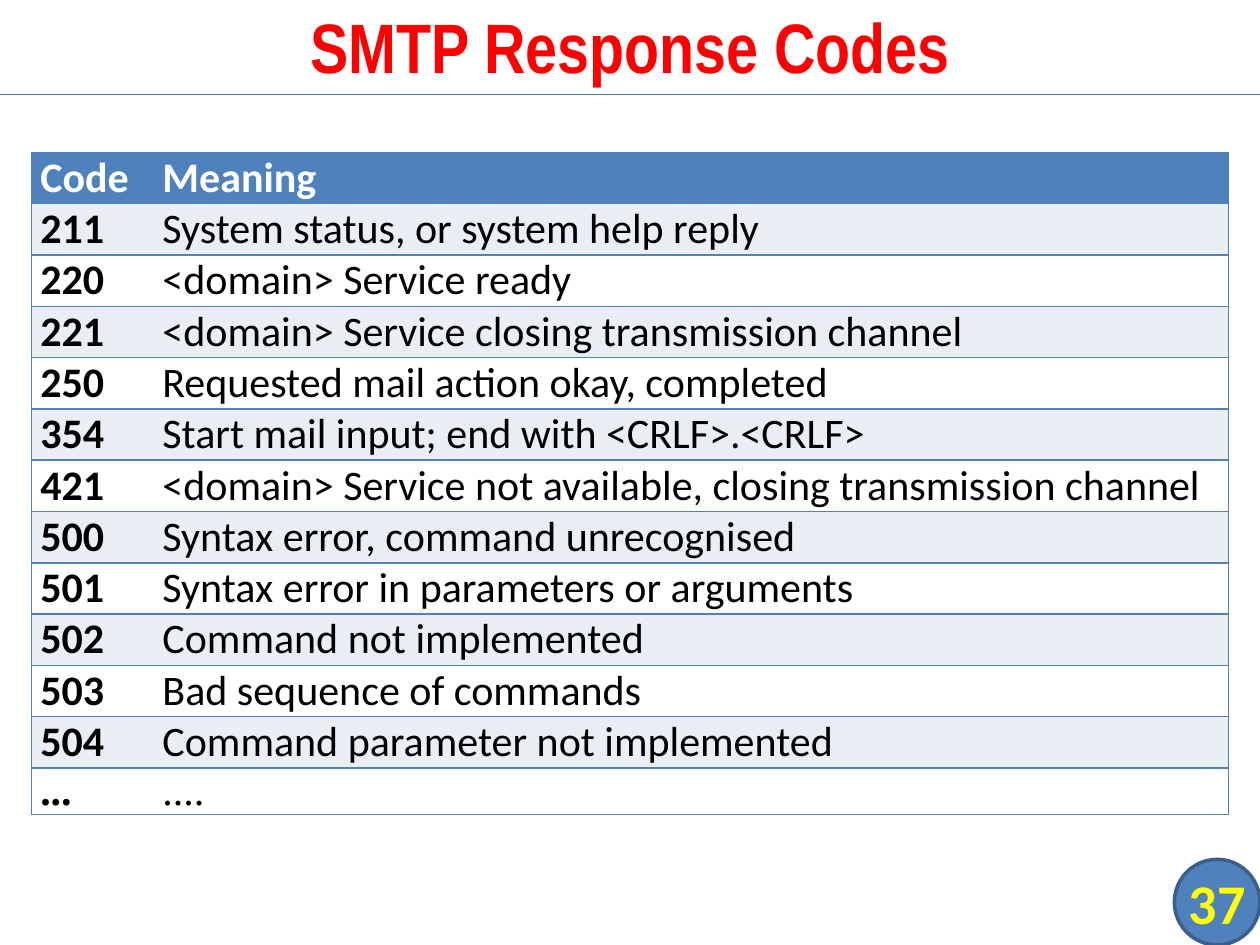
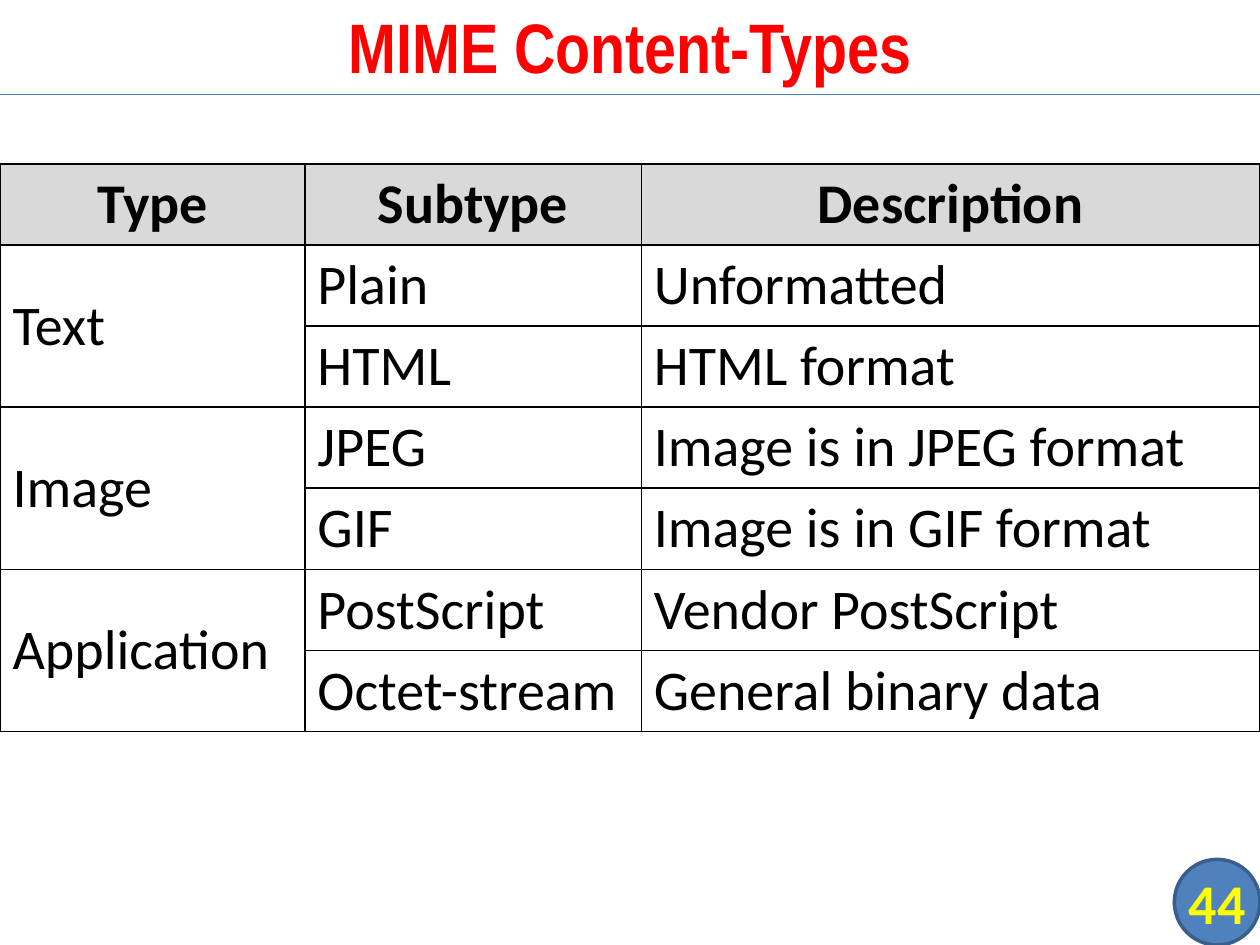
"""Build two reference slides: SMTP response codes and MIME content types."""
from dataclasses import dataclass
from typing import Any, Optional

from lxml import etree
from pptx import Presentation
from pptx.dml.color import RGBColor
from pptx.enum import shapes, text
from pptx.oxml import ns
from pptx.util import Inches, Pt


@dataclass(frozen=True)
class Theme:
    """Colours, fonts and type sizes of the deck."""
    blue: str = "4F81BD"
    badge_line: str = "3A5F8C"
    rule: str = "4B7EBC"
    band: str = "E9EDF4"
    grey: str = "D9D9D9"
    white: str = "FFFFFF"
    black: str = "000000"
    red: str = "FF0000"
    yellow: str = "FFFF00"
    title_font: str = "Arial Narrow"
    body_font: str = "Calibri"
    dots_font: str = "Times New Roman"
    title_size: int = 40
    large_size: int = 32
    code_size: int = 24


@dataclass(frozen=True)
class TableStyle:
    """Look of one table."""
    size: int
    header_fill: str
    header_color: str
    bands: tuple[Optional[str], ...]
    border: str
    column_rules: bool
    bold_first: bool
    header_align: Any
    body_anchor: Any
    margins: tuple[float, float]
    spacing: int


@dataclass(frozen=True)
class TableSpec:
    """Place and content of one table; None continues the cell above."""
    left: float
    top: float
    widths: tuple[float, ...]
    row_height: float
    rows: tuple[tuple[Optional[str], ...], ...]
    style: TableStyle


@dataclass(frozen=True)
class SlideSpec:
    """Title, number and table of one slide."""
    title: str
    number: int
    table: TableSpec


THEME = Theme()

CODE_STYLE = TableStyle(
    THEME.code_size, THEME.blue, THEME.white, (THEME.band, THEME.white), THEME.blue,
    False, True, text.PP_ALIGN.LEFT, text.MSO_ANCHOR.TOP, (0.07, 0), 3)
TYPE_STYLE = TableStyle(
    THEME.large_size, THEME.grey, THEME.black, (None,), THEME.black,
    True, False, text.PP_ALIGN.CENTER, text.MSO_ANCHOR.MIDDLE, (0.1, 0.05), 0)

SLIDES = (
    SlideSpec("SMTP Response Codes", 37, TableSpec(0.25, 1.21, (0.97, 8.53), 0.36, (
        ("Code", "Meaning"),
        ("211", "System status, or system help reply"),
        ("220", "<domain> Service ready"),
        ("221", "<domain> Service closing transmission channel"),
        ("250", "Requested mail action okay, completed"),
        ("354", "Start mail input; end with <CRLF>.<CRLF>"),
        ("421", "<domain> Service not available, closing transmission channel"),
        ("500", "Syntax error, command unrecognised"),
        ("501", "Syntax error in parameters or arguments"),
        ("502", "Command not implemented"),
        ("503", "Bad sequence of commands"),
        ("504", "Command parameter not implemented"),
        ("...", "....")), CODE_STYLE)),
    SlideSpec("MIME Content-Types", 44, TableSpec(0, 1.3, (2.42, 2.67, 4.91), 0.64, (
        ("Type", "Subtype", "Description"),
        ("Text", "Plain", "Unformatted"),
        (None, "HTML", "HTML format"),
        ("Image", "JPEG", "Image is in JPEG format"),
        (None, "GIF", "Image is in GIF format"),
        ("Application", "PostScript", "Vendor PostScript"),
        (None, "Octet-stream", "General binary data")), TYPE_STYLE)),
)


def apply(obj: Any, values: dict[str, Any]) -> None:
    """Set each named attribute on an object."""
    for name, value in values.items():
        setattr(obj, name, value)


def write(tf: Any, words: str, font: str, size: int, color: str, bold: bool = True,
          align: Any = text.PP_ALIGN.CENTER, spacing: int = 0) -> None:
    """Write one formatted paragraph into a text frame."""
    p = tf.paragraphs[0]
    apply(p, {"alignment": align, "space_before": Pt(spacing), "space_after": Pt(spacing)})
    r = p.add_run()
    r.text = words
    apply(r.font, {"name": font, "size": Pt(size), "bold": bold})
    r.font.color.rgb = RGBColor.from_string(color)


def add_title(s: Any, words: str) -> None:
    """Place and fill the title placeholder."""
    sp = s.shapes.title
    apply(sp, {"left": Inches(0), "top": Inches(-0.03),
               "width": Inches(10), "height": Inches(0.78)})
    apply(sp.text_frame, {"vertical_anchor": text.MSO_ANCHOR.MIDDLE, "word_wrap": True,
                          "auto_size": text.MSO_AUTO_SIZE.NONE})
    write(sp.text_frame, words, THEME.title_font, THEME.title_size, THEME.red)


def add_rule(s: Any) -> None:
    """Draw the line below the title."""
    line = s.shapes.add_connector(shapes.MSO_CONNECTOR.STRAIGHT, Inches(0), Inches(0.75),
                                  Inches(10), Inches(0.75))
    line.line.color.rgb = RGBColor.from_string(THEME.rule)
    line.line.width = Pt(0.75)
    etree.SubElement(line._element.spPr, ns.qn("a:effectLst"))


def add_badge(s: Any, number: int) -> None:
    """Draw the round badge with the slide number."""
    box = (Inches(9.32), Inches(6.82), Inches(0.68), Inches(0.68))
    sp = s.shapes.add_shape(shapes.MSO_SHAPE.FLOWCHART_CONNECTOR, *box)
    sp.shadow.inherit = False
    sp.fill.solid()
    sp.fill.fore_color.rgb = RGBColor.from_string(THEME.blue)
    sp.line.color.rgb = RGBColor.from_string(THEME.badge_line)
    sp.line.width = Pt(2)
    tf = s.shapes.add_textbox(*box).text_frame
    apply(tf, {"margin_left": 0, "margin_right": 0, "margin_top": 0, "margin_bottom": 0,
               "word_wrap": True, "vertical_anchor": text.MSO_ANCHOR.MIDDLE})
    write(tf, str(number), THEME.body_font, THEME.large_size, THEME.yellow)


def set_borders(cell: Any, colors: dict[str, Optional[str]]) -> None:
    """Set the cell edges, leaving out those without a colour."""
    tc_pr = cell._tc.get_or_add_tcPr()
    for i, (edge, color) in enumerate(colors.items()):
        ln = etree.Element(ns.qn(f"a:ln{edge}"), w=str(Pt(1)))
        if color:
            fill = etree.SubElement(ln, ns.qn("a:solidFill"))
            etree.SubElement(fill, ns.qn("a:srgbClr"), val=color)
        else:
            etree.SubElement(ln, ns.qn("a:noFill"))
        tc_pr.insert(i, ln)


def format_cell(cell: Any, row: int, col: int, last_col: int, style: TableStyle) -> None:
    """Apply fill, margins, anchor and borders to a cell."""
    header = row == 0
    fill = style.header_fill if header else style.bands[(row - 1) % len(style.bands)]
    if fill:
        cell.fill.solid()
        cell.fill.fore_color.rgb = RGBColor.from_string(fill)
    else:
        cell.fill.background()
    side, end = (Inches(m) for m in style.margins)
    apply(cell, {"margin_left": side, "margin_right": side,
                 "margin_top": end, "margin_bottom": end,
                 "vertical_anchor": text.MSO_ANCHOR.TOP if header else style.body_anchor})
    set_borders(cell, {
        "L": style.border if style.column_rules or col == 0 else None,
        "R": style.border if style.column_rules or col == last_col else None,
        "T": style.border, "B": style.border})


def add_table(s: Any, spec: TableSpec) -> None:
    """Draw a table from its description."""
    style, count = spec.style, len(spec.rows)
    table = s.shapes.add_table(
        count, len(spec.widths), Inches(spec.left), Inches(spec.top),
        Inches(sum(spec.widths)), Inches(spec.row_height * count)).table
    for column, width in zip(table.columns, spec.widths):
        column.width = Inches(width)
    for i, words in enumerate(spec.rows):
        table.rows[i].height = Inches(spec.row_height)
        for j, word in enumerate(words):
            cell = table.cell(i, j)
            format_cell(cell, i, j, len(words) - 1, style)
            if word is None:
                table.cell(i - 1, j).merge(cell)
                continue
            header = i == 0
            write(cell.text_frame, word,
                  THEME.body_font if word.strip(".") else THEME.dots_font, style.size,
                  style.header_color if header else THEME.black,
                  header or (style.bold_first and j == 0),
                  style.header_align if header else text.PP_ALIGN.LEFT, style.spacing)


def main() -> None:
    """Build and save the presentation."""
    prs = Presentation()
    apply(prs, {"slide_width": Inches(10), "slide_height": Inches(7.5)})
    for spec in SLIDES:
        s = prs.slides.add_slide(prs.slide_layouts.get_by_name("Title Only"))
        add_title(s, spec.title)
        add_rule(s)
        add_table(s, spec.table)
        add_badge(s, spec.number)
    prs.save("out.pptx")


if __name__ == "__main__":
    main()
